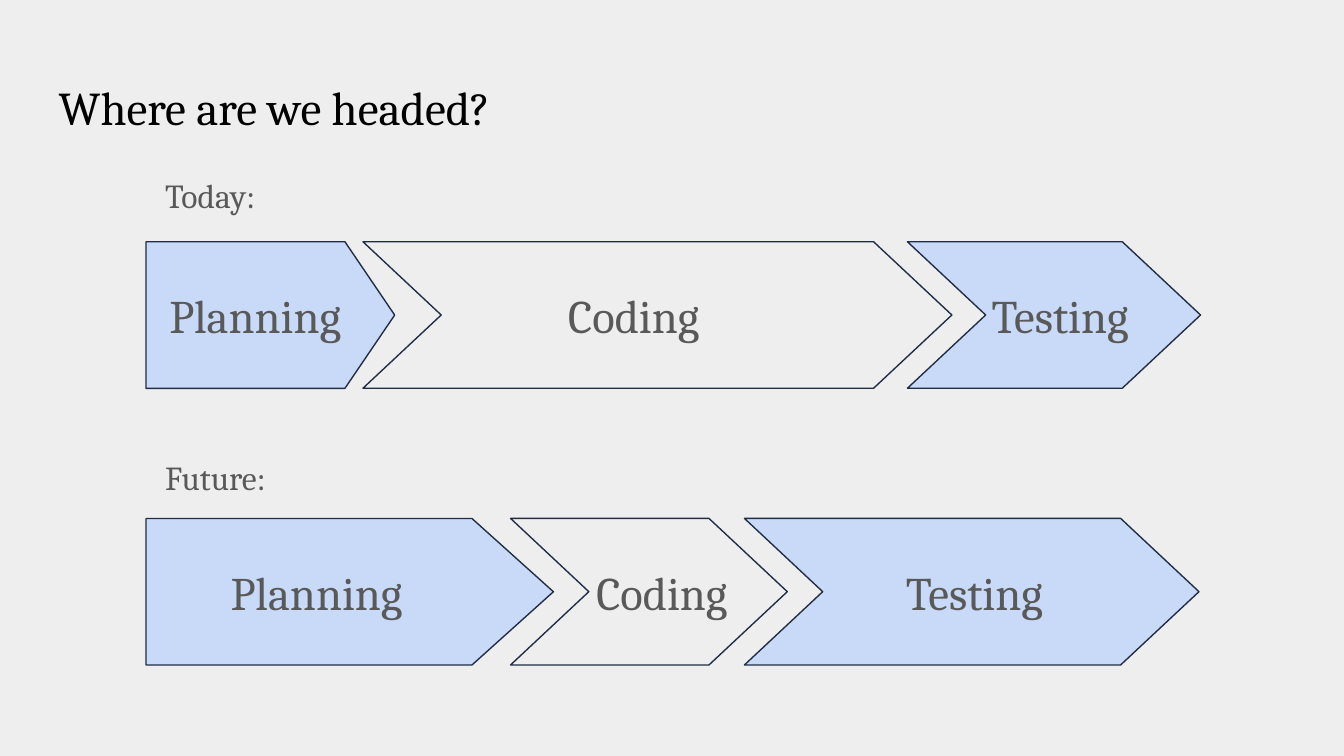
"""Build a slide comparing how planning, coding and testing share the work today and in future."""
from dataclasses import dataclass

from pptx import Presentation
from pptx.dml.color import RGBColor
from pptx.enum.shapes import MSO_SHAPE
from pptx.enum.text import MSO_ANCHOR, PP_ALIGN
from pptx.util import Cm, Pt


@dataclass(frozen=True)
class Theme:
    font: str = "Cambria"
    background: str = "EEEEEE"
    accent: str = "C9DAF8"
    outline: str = "202D45"
    title: str = "000000"
    body: str = "595959"
    title_size: float = 25.2
    step_size: float = 25
    label_size: float = 18
    outline_width: float = 0.75


THEME = Theme()
TITLE = "Where are we headed?"
STEPS = [("Planning", True), ("Coding", False), ("Testing", True)]
ROWS = [
    {"label": "Today:", "label_top": 3.05, "top": 4.57,
     "arrows": [(2.76, 4.7), (6.86, 11.13), (17.15, 5.54)],
     "text_lefts": [2.95, 10.49, 18.49]},
    {"label": "Future:", "label_top": 8.38, "top": 9.8,
     "arrows": [(2.76, 7.7), (9.65, 5.23), (14.07, 8.59)],
     "text_lefts": [4.11, 11.02, 16.87]},
]
ARROW_HEIGHT = 2.77
CHEVRON_POINT = 0.534
LABEL_LEFT = 2.87
TEXT_WIDTH = 4.47
STEP_TEXT_HEIGHT = 1.57
LABEL_HEIGHT = 1.27
INSET = 0.25


def write(shape, text, size, color):
    frame = shape.text_frame
    frame.word_wrap = True
    frame.vertical_anchor = MSO_ANCHOR.TOP
    frame.margin_left = frame.margin_right = Cm(INSET)
    frame.margin_top = frame.margin_bottom = Cm(INSET)
    paragraph = frame.paragraphs[0]
    paragraph.alignment = PP_ALIGN.LEFT
    run = paragraph.add_run()
    run.text = text
    run.font.name = THEME.font
    run.font.size = Pt(size)
    run.font.color.rgb = RGBColor.from_string(color)


def add_text(slide, text, left, top, height, size):
    box = slide.shapes.add_textbox(Cm(left), Cm(top), Cm(TEXT_WIDTH), Cm(height))
    write(box, text, size, THEME.body)


def add_arrow(slide, left, top, width, is_first, is_filled):
    if is_first:
        offset = (width - ARROW_HEIGHT) / 2
        shape = slide.shapes.add_shape(
            MSO_SHAPE.FLOWCHART_OFFPAGE_CONNECTOR,
            Cm(left + offset), Cm(top - offset), Cm(ARROW_HEIGHT), Cm(width))
        shape.rotation = 270
    else:
        shape = slide.shapes.add_shape(
            MSO_SHAPE.CHEVRON, Cm(left), Cm(top), Cm(width), Cm(ARROW_HEIGHT))
        shape.adjustments[0] = CHEVRON_POINT
    shape.shadow.inherit = False
    if is_filled:
        shape.fill.solid()
        shape.fill.fore_color.rgb = RGBColor.from_string(THEME.accent)
    else:
        shape.fill.background()
    shape.line.color.rgb = RGBColor.from_string(THEME.outline)
    shape.line.width = Pt(THEME.outline_width)


def add_row(slide, row):
    add_text(slide, row["label"], LABEL_LEFT, row["label_top"], LABEL_HEIGHT, THEME.label_size)
    for index, (left, width) in enumerate(row["arrows"]):
        add_arrow(slide, left, row["top"], width, index == 0, STEPS[index][1])
    text_top = row["top"] + (ARROW_HEIGHT - STEP_TEXT_HEIGHT) / 2
    for (name, _), left in zip(STEPS, row["text_lefts"]):
        add_text(slide, name, left, text_top, STEP_TEXT_HEIGHT, THEME.step_size)


def main():
    presentation = Presentation()
    presentation.slide_width, presentation.slide_height = Cm(25.4), Cm(14.29)
    slide = presentation.slides.add_slide(presentation.slide_layouts[5])
    slide.background.fill.solid()
    slide.background.fill.fore_color.rgb = RGBColor.from_string(THEME.background)
    title = slide.shapes.title
    title.left, title.top, title.width, title.height = Cm(0.86), Cm(1.24), Cm(23.67), Cm(1.6)
    write(title, TITLE, THEME.title_size, THEME.title)
    for row in ROWS:
        add_row(slide, row)
    presentation.save("out.pptx")


if __name__ == "__main__":
    main()
